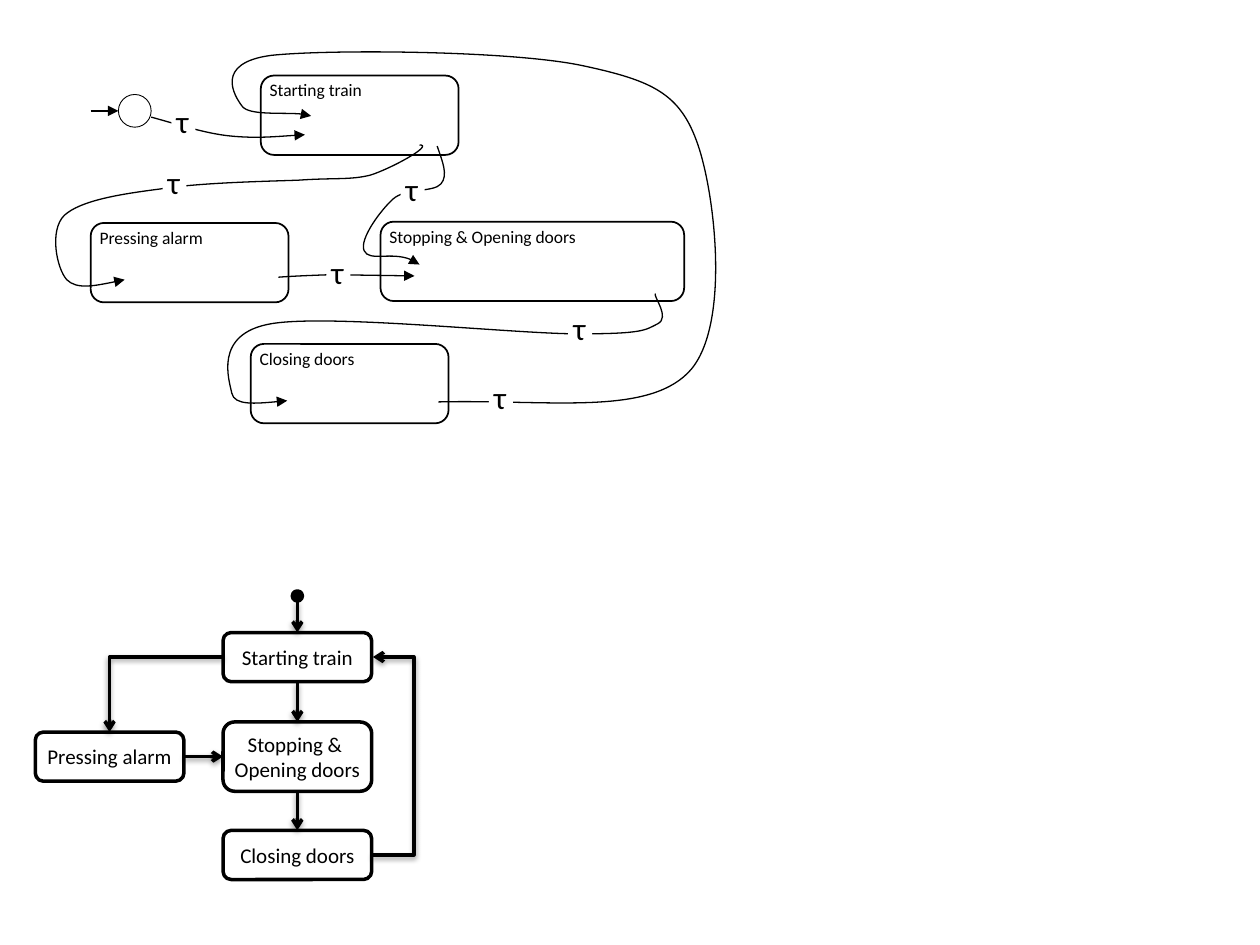
from lxml.etree import SubElement
from pptx import Presentation
from pptx.dml.color import RGBColor
from pptx.enum.shapes import MSO_CONNECTOR, MSO_SHAPE
from pptx.enum.text import MSO_ANCHOR, MSO_AUTO_SIZE, PP_ALIGN
from pptx.oxml.ns import qn
from pptx.util import Inches, Pt

BLACK = RGBColor(0x00, 0x00, 0x00)
WHITE = RGBColor(0xFF, 0xFF, 0xFF)
FONT = "Calibri"
TOP, LEFT, BOTTOM, RIGHT = range(4)

FLOW_FRAME = {"vertical_anchor": MSO_ANCHOR.MIDDLE, "word_wrap": False}
STATE_FRAME = {"vertical_anchor": MSO_ANCHOR.TOP, "word_wrap": False,
               "margin_left": Inches(0.04), "margin_top": 0, "margin_right": 0,
               "margin_bottom": 0}
TAU_FRAME = {"word_wrap": False, "auto_size": MSO_AUTO_SIZE.SHAPE_TO_FIT_TEXT,
             **{f"margin_{side}": Inches(0.04) for side in ("left", "top", "right", "bottom")}}

# Offsets from the diagram's corner, in inches: left, top, width, height
FLOW_STEPS = {
    "start": ("Starting train", 1.49, 0.33, 1.18, 0.39),
    "alarm": ("Pressing alarm", 0, 1.12, 1.18, 0.39),
    "stop": ("Stopping & \vOpening doors", 1.49, 1.04, 1.18, 0.55),
    "close": ("Closing doors", 1.49, 1.9, 1.18, 0.39),
}
FLOW_LINKS = [
    ("start", BOTTOM, "stop", TOP),
    ("stop", BOTTOM, "close", TOP),
    ("alarm", RIGHT, "stop", LEFT),
]
STATES = [
    ("Stopping & Opening doors", 2.63, 1.37, 2.41),
    ("Pressing alarm", 0.33, 1.38, 1.57),
    ("Starting train", 1.68, 0.21, 1.57),
    ("Closing doors", 1.6, 2.34, 1.57),
]
# Each curve is a start point followed by three points for every Bézier segment
TRANSITIONS = [
    [(2.94, 0.76), (3.06, 0.76), (2.71, 0.95), (2.55, 1), (2.39, 1.04), (2.26, 1.02),
     (1.98, 1.04), (1.7, 1.05), (1.19, 1.06), (0.88, 1.11), (0.57, 1.15), (0.25, 1.2),
     (0.12, 1.32), (0, 1.44), (0.06, 1.74), (0.14, 1.83), (0.22, 1.91), (0.41, 1.87),
     (0.6, 1.83)],
    [(1.82, 1.81), (1.94, 1.8), (2.24, 1.79), (2.24, 1.79), (2.24, 1.79), (2.9, 1.8),
     (2.9, 1.8)],
    [(3.08, 0.77), (3.12, 0.89), (3.17, 1), (3.11, 1.07), (3.05, 1.14), (2.83, 1.1),
     (2.73, 1.19), (2.63, 1.28), (2.46, 1.51), (2.5, 1.6), (2.54, 1.69), (2.77, 1.58),
     (2.94, 1.71)],
    [(4.81, 1.94), (4.8, 1.97), (4.93, 2.13), (4.83, 2.18), (4.73, 2.23), (4.72, 2.26),
     (4.2, 2.26), (3.69, 2.26), (2.22, 2.1), (1.76, 2.18), (1.3, 2.26), (1.43, 2.63),
     (1.45, 2.73), (1.47, 2.83), (1.69, 2.81), (1.89, 2.79)],
    [(3.09, 2.8), (3.96, 2.78), (4.73, 2.91), (5.07, 2.57), (5.41, 2.23), (5.29, 1.17),
     (5.15, 0.76), (5.01, 0.35), (4.79, 0.25), (4.23, 0.13), (3.66, 0.01), (2.21, 0),
     (1.76, 0.05), (1.31, 0.11), (1.47, 0.37), (1.53, 0.45), (1.58, 0.53), (1.99, 0.49),
     (2.08, 0.53)],
    [(0.81, 0.54), (1.03, 0.6), (1.24, 0.67), (1.44, 0.69), (1.65, 0.71), (1.84, 0.69),
     (2.03, 0.68)],
]
TAUS = [(0.9, 0.86), (2.79, 0.92), (2.2, 1.58), (4.12, 2.02), (3.49, 2.57), (0.97, 0.38)]


def style_line(shape, width, arrowhead=None):
    shape.line.color.rgb = BLACK
    shape.line.width = Pt(width)
    if arrowhead:
        line = shape._element.spPr.find(qn("a:ln"))
        SubElement(line, qn("a:tailEnd"), type=arrowhead)


def write_text(shape, text, size, frame_format, alignment=PP_ALIGN.LEFT):
    frame = shape.text_frame
    frame.text = text
    for name, value in frame_format.items():
        setattr(frame, name, value)
    paragraph = frame.paragraphs[0]
    paragraph.alignment = alignment
    for run in paragraph.runs:
        for name, value in {"name": FONT, "size": Pt(size)}.items():
            setattr(run.font, name, value)
        run.font.color.rgb = BLACK


def add_outlined(slide, kind, left, top, width, height, line_width, fill=WHITE):
    shape = slide.shapes.add_shape(kind, left, top, width, height)
    shape.shadow.inherit = False
    shape.fill.solid()
    shape.fill.fore_color.rgb = fill
    style_line(shape, line_width)
    return shape


def add_arrow(slide, start, end, width, arrowhead, kind=MSO_CONNECTOR.STRAIGHT, shadow=False):
    connector = slide.shapes.add_connector(kind, *start, *end)
    style_line(connector, width, arrowhead)
    effects = SubElement(connector._element.spPr, qn("a:effectLst"))
    if shadow:
        outer = SubElement(effects, qn("a:outerShdw"), blurRad=str(Pt(3.1)),
                           dist=str(Pt(1.6)), dir="5400000", rotWithShape="0")
        color = SubElement(outer, qn("a:srgbClr"), val=str(BLACK))
        SubElement(color, qn("a:alpha"), val="38000")
    return connector


def side_middle(shape, side):
    center, middle = shape.left + shape.width // 2, shape.top + shape.height // 2
    return {TOP: (center, shape.top), LEFT: (shape.left, middle),
            BOTTOM: (center, shape.top + shape.height),
            RIGHT: (shape.left + shape.width, middle)}[side]


def link(slide, source, source_side, target, target_side, kind=MSO_CONNECTOR.STRAIGHT):
    connector = add_arrow(slide, side_middle(source, source_side),
                          side_middle(target, target_side), 2, "arrow", kind, shadow=True)
    connector.begin_connect(source, source_side)
    connector.end_connect(target, target_side)
    return connector


def add_curve(slide, points):
    """Draw Bézier segments through points, with an arrowhead at the last one."""
    builder = slide.shapes.build_freeform(*points[0])
    builder.add_line_segments(points[1:], close=False)
    shape = builder.convert_to_shape()
    shape.shadow.inherit = False
    shape.fill.background()
    style_line(shape, 0.75, "triangle")
    outline = next(shape._element.iter(qn("a:path")))
    segments = outline.findall(qn("a:lnTo"))
    for index in range(0, len(segments), 3):
        curve = SubElement(outline, qn("a:cubicBezTo"))
        for segment in segments[index:index + 3]:
            curve.append(segment[0])
            outline.remove(segment)


def add_flow_diagram(slide, left, top):
    steps = {}
    for key, (text, *box) in FLOW_STEPS.items():
        x, y, width, height = map(Inches, box)
        step = add_outlined(slide, MSO_SHAPE.ROUNDED_RECTANGLE,
                            left + x, top + y, width, height, 2)
        write_text(step, text, 12, FLOW_FRAME, PP_ALIGN.CENTER)
        steps[key] = step

    for source, source_side, target, target_side in FLOW_LINKS:
        link(slide, steps[source], source_side, steps[target], target_side)

    loop = link(slide, steps["close"], RIGHT, steps["start"], RIGHT, MSO_CONNECTOR.ELBOW)
    loop.width = Inches(0.01)
    bend = loop._element.spPr.find(qn("a:prstGeom"))
    adjustments = bend.find(qn("a:avLst"))
    if adjustments is None:
        adjustments = SubElement(bend, qn("a:avLst"))
    SubElement(adjustments, qn("a:gd"), name="adj1", fmla="val 3400000")

    branch = link(slide, steps["start"], LEFT, steps["alarm"], TOP, MSO_CONNECTOR.ELBOW)
    branch._element.spPr.find(qn("a:prstGeom")).set("prst", "bentConnector2")

    dot = add_outlined(slide, MSO_SHAPE.OVAL, left + Inches(2.04), top,
                       Inches(0.08), Inches(0.08), 2, BLACK)
    entry = add_arrow(slide, side_middle(dot, BOTTOM), side_middle(steps["start"], TOP),
                      2, "arrow", shadow=True)
    entry.end_connect(steps["start"], TOP)


def add_state_diagram(slide, left, top):
    for text, *box in STATES:
        x, y, width = map(Inches, box)
        state = add_outlined(slide, MSO_SHAPE.ROUNDED_RECTANGLE,
                             left + x, top + y, width, Inches(0.63), 1)
        write_text(state, text, 10, STATE_FRAME)

    for points in TRANSITIONS:
        add_curve(slide, [(left + Inches(x), top + Inches(y)) for x, y in points])

    for x, y in TAUS:
        tau = slide.shapes.add_textbox(left + Inches(x), top + Inches(y),
                                       Inches(0.19), Inches(0.38))
        tau.fill.solid()
        tau.fill.fore_color.rgb = WHITE
        write_text(tau, "τ", 18, TAU_FRAME)

    initial = add_outlined(slide, MSO_SHAPE.OVAL, left + Inches(0.55), top + Inches(0.36),
                           Inches(0.26), Inches(0.26), 0.5)
    end_x, end_y = side_middle(initial, LEFT)
    add_arrow(slide, (end_x - Inches(0.22), end_y), (end_x, end_y), 0.75, "triangle")


def main():
    presentation = Presentation()
    presentation.slide_width, presentation.slide_height = Inches(10), Inches(7.5)
    slide = presentation.slides.add_slide(presentation.slide_layouts[6])
    add_flow_diagram(slide, Inches(0.28), Inches(4.69))
    add_state_diagram(slide, Inches(0.39), Inches(0.39))
    presentation.save("out.pptx")


if __name__ == "__main__":
    main()
